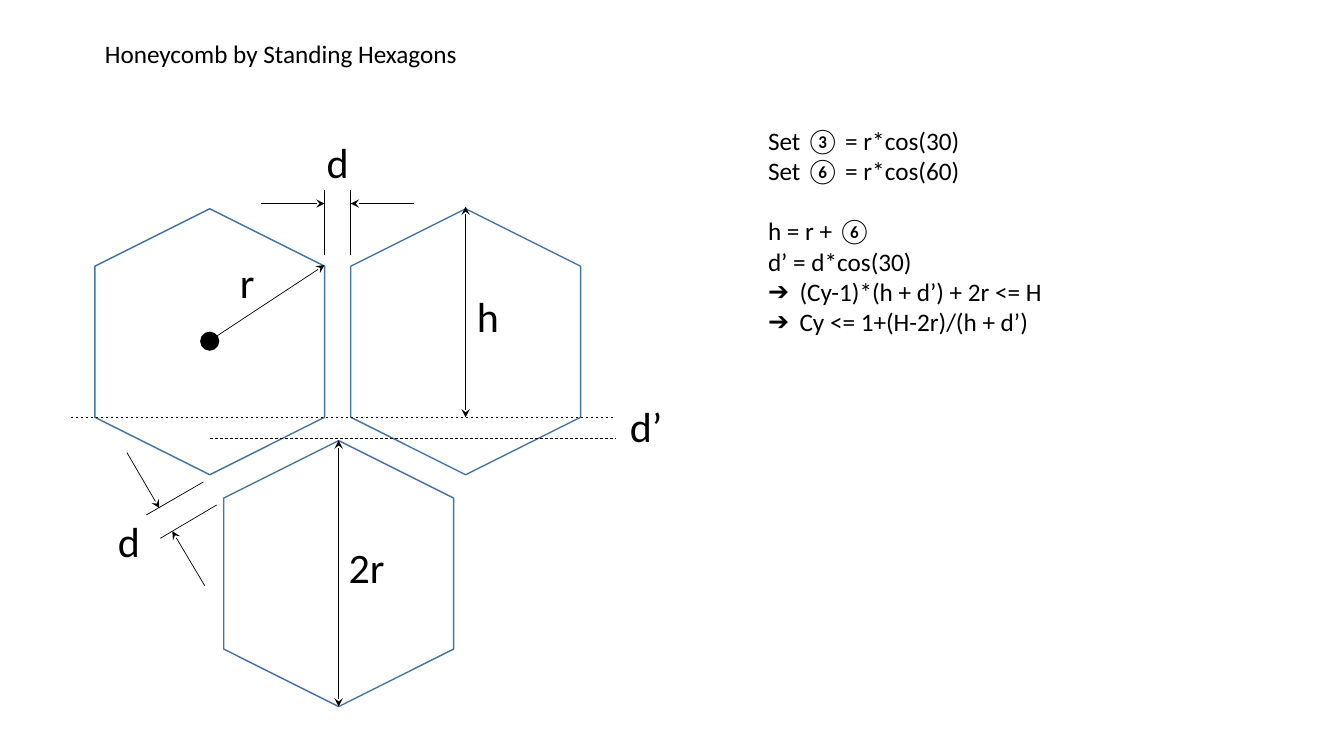
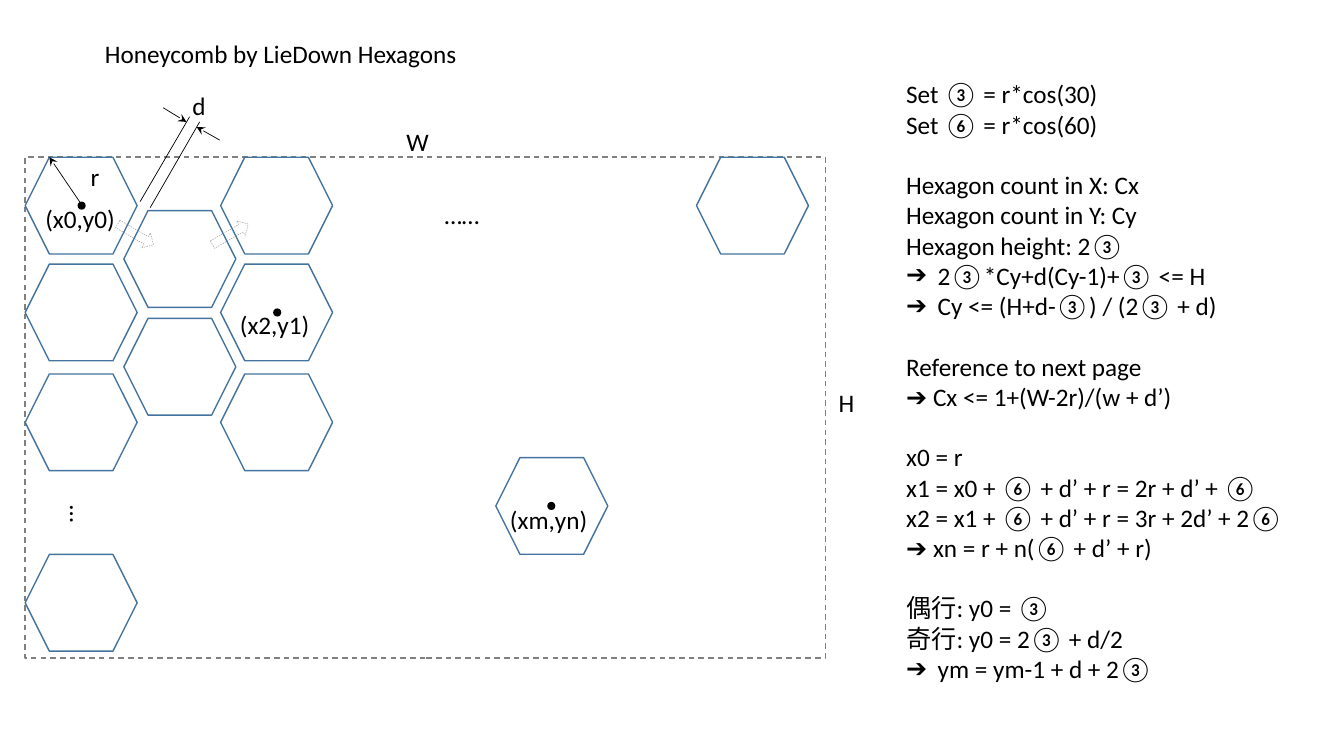
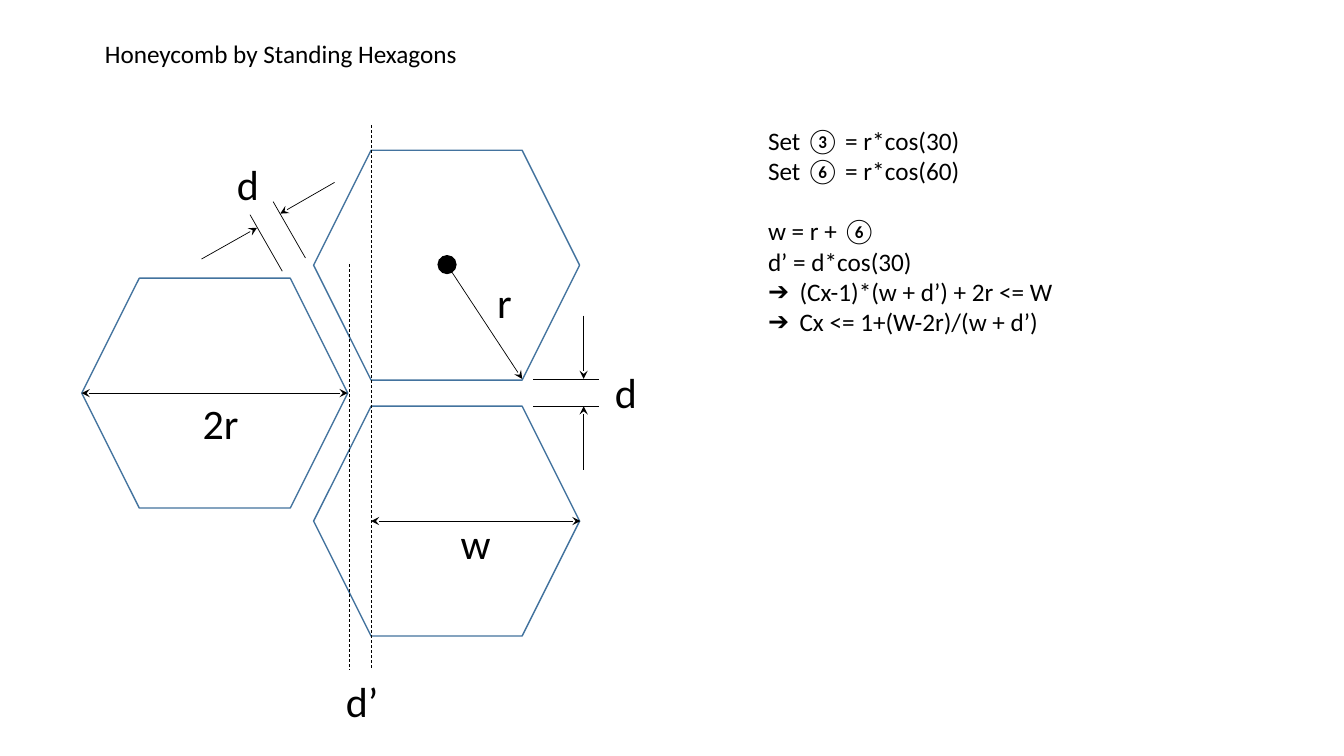
from lxml.etree import SubElement
from pptx import Presentation
from pptx.dml.color import RGBColor
from pptx.enum.dml import MSO_LINE
from pptx.enum.shapes import MSO_CONNECTOR, MSO_SHAPE
from pptx.enum.text import MSO_ANCHOR, MSO_AUTO_SIZE, PP_ALIGN
from pptx.oxml.ns import qn
from pptx.util import Pt

BLACK = RGBColor(0x00, 0x00, 0x00)
BLUE = RGBColor(0x43, 0x73, 0x9E)
GRAY = RGBColor(0x80, 0x80, 0x80)
FONT = "Calibri"
NOTE_SIZE = 18
NOTE_LINE = 21.6
NOTE_INDENT = 22.5
BULLET = "➔"
BULLET_MARK = "- "
BIG_HEXAGON = (190, 164.2)
SMALL_HEXAGON = (80, 69.1)

standing = {
    "title": "Honeycomb by Standing Hexagons",
    "hexagon": BIG_HEXAGON, "turn": 90, "dot": 13.7, "label_size": 30,
    "centers": [(149.8, 244.1), (332.6, 244.1), (241.9, 409.7)],
    "dots": [(149.8, 243.7)],
    "plain": [(231.8, 182.2, 231.8, 135.4), (250.6, 182.2, 250.6, 135.4),
              (154.8, 360.7, 114.5, 384.5), (145.4, 344.2, 104.4, 367.9)],
    "dashed": [(50.4, 298.1, 439.2, 298.1), (149.8, 313.2, 439.2, 313.2)],
    "arrow": [(149.8, 243.4, 231.8, 189.4),
              (186.5, 145.4, 231.8, 145.4), (295.9, 145.4, 250.6, 145.4),
              (146.2, 418.3, 123.1, 379.4), (90.7, 323.3, 113.8, 362.9)],
    "double": [(241.9, 314.6, 241.9, 504.7), (332.6, 147.6, 332.6, 298.1)],
    "labels": [("r", 171.4, 183.6, 10.8, 0), ("d", 233.3, 97.2, 15.8, 0),
               ("d", 84.2, 367.9, 15.8, 0), ("d’", 450, 285.8, 23.8, 0),
               ("2r", 249.1, 386.6, 25.9, 0), ("h", 340.6, 207.4, 15.8, 0)],
    "notes_box": (541.4, 85.7, 213, 160),
    "notes": [
        ["Set ③ = r*cos(30)", "Set ⑥ = r*cos(60)"],
        ["h = r + ⑥", "d’ = d*cos(30)",
         "- (Cy-1)*(h + d’) + 2r <= H", "- Cy <= 1+(H-2r)/(h + d’)"],
    ],
}

columns = {
    58: [146.9, 223.2, 301.7, 430.6],
    128.5: [185, 262],
    197.6: [146.9, 223.2, 301.7],
    394.2: [361.4],
    537.5: [146.9],
}

lying = {
    "title": "Honeycomb by LieDown Hexagons",
    "hexagon": SMALL_HEXAGON, "turn": 0, "dot": 5.8, "label_size": 18,
    "centers": [(x, y) for x, rows in columns.items() for y in rows],
    "dots": [(58.3, 146.9), (198, 223.2), (393.8, 361.4)],
    "plain": [(100.1, 144, 135.4, 83.5), (107.3, 148.3, 142.6, 87.1)],
    "dashed": [],
    "arrow": [(58.3, 146.2, 35.3, 112.3),
              (116.6, 77, 133.2, 87.1), (157, 100.1, 140.4, 90.7)],
    "double": [],
    "labels": [("W", 290.2, 90, 15.8, 0), ("H", 599, 276.5, 11.5, 0),
               ("(x0,y0)", 32.4, 145.4, 50.4, 0), ("(x2,y1)", 171.4, 221, 50.4, 0),
               ("(xm,yn)", 364.3, 360, 55.4, 0), ("r", 64.8, 115.2, 6.5, 0),
               ("d", 137.5, 64.8, 9.4, 0), ("……", 317.5, 142.6, 25.2, 0),
               ("…", 51.1, 356.4, 12.2, 90)],
    "notes_box": (640.1, 52.6, 283.7, 443.5),
    "notes": [
        ["Set ③ = r*cos(30)", "Set ⑥ = r*cos(60)"],
        ["Hexagon count in X: Cx", "Hexagon count in Y: Cy", "Hexagon height: 2③",
         "- 2③*Cy+d(Cy-1)+③ <= H", "- Cy <= (H+d-③) / (2③ + d)"],
        ["Reference to next page", "➔ Cx <= 1+(W-2r)/(w + d’)"],
        ["x0 = r", "x1 = x0 + ⑥ + d’ + r = 2r + d’ + ⑥",
         "x2 = x1 + ⑥ + d’ + r = 3r + 2d’ + 2⑥", "➔ xn = r + n(⑥ + d’ + r)"],
        ["偶行: y0 = ③", "奇行: y0 = 2③ + d/2", "- ym = ym-1 + d + 2③"],
    ],
}

widths = {
    "title": "Honeycomb by Standing Hexagons",
    "hexagon": BIG_HEXAGON, "turn": 180, "dot": 13.7, "label_size": 30,
    "centers": [(319, 189.4), (319, 372.2), (153.4, 280.8)],
    "dots": [(319.3, 189)],
    "plain": [(380.9, 270.7, 427.7, 270.7), (380.9, 290.2, 427.7, 290.2),
              (201.6, 193.7, 178.6, 153.4), (218.2, 184.3, 195.1, 144)],
    "dashed": [(265, 89.3, 265, 478.1), (249.8, 188.6, 249.8, 478.1)],
    "arrow": [(319, 188.6, 373, 270.7),
              (416.9, 225.4, 416.9, 270.7), (416.9, 335.5, 416.9, 290.2),
              (144, 185, 183.6, 162.7), (239, 130.3, 200.2, 152.6)],
    "double": [(248.4, 280.8, 58.3, 280.8), (414.7, 372.2, 265, 372.2)],
    "labels": [("r", 355, 197.3, 10.8, 0), ("d", 439.2, 262.1, 15.8, 0),
               ("d", 169.2, 113, 15.8, 0), ("d’", 247, 482.4, 23.8, 0),
               ("2r", 144.7, 283.7, 25.9, 0), ("w", 329, 369.4, 21.6, 0)],
    "notes_box": (541.4, 85.7, 221, 160),
    "notes": [
        ["Set ③ = r*cos(30)", "Set ⑥ = r*cos(60)"],
        ["w = r + ⑥", "d’ = d*cos(30)",
         "- (Cx-1)*(w + d’) + 2r <= W", "- Cx <= 1+(W-2r)/(w + d’)"],
    ],
}

ARROW_ENDS = {"plain": [], "dashed": [], "arrow": ["a:tailEnd"],
              "double": ["a:headEnd", "a:tailEnd"]}


def add_outline(slide, preset, box, color, weight, turn=0):
    outline = slide.shapes.add_shape(preset, *map(Pt, box))
    outline.shadow.inherit = False
    outline.fill.background()
    outline.line.color.rgb = color
    outline.line.width = Pt(weight)
    outline.rotation = turn
    return outline


def write(holder, box, text, size):
    holder.left, holder.top, holder.width, holder.height = map(Pt, box)
    frame = holder.text_frame
    frame.text = text
    frame.word_wrap = False
    frame.vertical_anchor = MSO_ANCHOR.TOP
    for paragraph in frame.paragraphs:
        paragraph.alignment = PP_ALIGN.LEFT
        paragraph.space_before = Pt(0)
        for run in paragraph.runs:
            run.font.name = FONT
            run.font.size = Pt(size)
            run.font.color.rgb = BLACK
    return frame


deck = Presentation()
deck.slide_width, deck.slide_height = Pt(960), Pt(540)

for page in (standing, lying, widths):
    slide = deck.slides.add_slide(deck.slide_layouts[1])
    heading = write(slide.shapes.title, (67.7, 23.8, 269.3, 28.8), page["title"], 18)
    heading.auto_size = MSO_AUTO_SIZE.NONE

    lines = [line for block in page["notes"] for line in block]
    notes = write(slide.placeholders[1], page["notes_box"],
                  "\n".join(line.removeprefix(BULLET_MARK) for line in lines), NOTE_SIZE)
    notes.auto_size = MSO_AUTO_SIZE.NONE
    for paragraph, line in zip(notes.paragraphs, lines):
        properties = paragraph._p.get_or_add_pPr()
        bulleted = line.startswith(BULLET_MARK)
        indent = Pt(NOTE_INDENT) if bulleted else 0
        properties.set("marL", str(indent))
        properties.set("indent", str(-indent))
        if bulleted:
            SubElement(properties, qn("a:buChar")).set("char", BULLET)
        else:
            SubElement(properties, qn("a:buNone"))
    block_start = 0
    for block in page["notes"][:-1]:
        block_start += len(block)
        notes.paragraphs[block_start].space_before = Pt(NOTE_LINE)

    if page is lying:
        area = add_outline(slide, MSO_SHAPE.RECTANGLE, (18, 112.3, 571.7, 357.8), GRAY, 1)
        area.line.dash_style = MSO_LINE.DASH

    width, height = page["hexagon"]
    for x, y in page["centers"]:
        add_outline(slide, MSO_SHAPE.HEXAGON,
                    (x - width / 2, y - height / 2, width, height), BLUE, 1, page["turn"])

    diameter = page["dot"]
    for x, y in page["dots"]:
        center = add_outline(slide, MSO_SHAPE.OVAL,
                             (x - diameter / 2, y - diameter / 2, diameter, diameter), BLACK, 1)
        center.fill.solid()
        center.fill.fore_color.rgb = BLACK
        center.line.fill.background()

    for style, ends in ARROW_ENDS.items():
        for points in page[style]:
            measure = slide.shapes.add_connector(MSO_CONNECTOR.STRAIGHT, *map(Pt, points))
            measure.line.color.rgb = BLACK
            measure.line.width = Pt(0.5)
            if style == "dashed":
                measure.line.dash_style = MSO_LINE.DASH
            for end in ends:
                SubElement(measure.line._get_or_add_ln(), qn(end)).set("type", "stealth")
            SubElement(measure._element.spPr, qn("a:effectLst"))

    label_size = page["label_size"]
    for text, x, y, label_width, turn in page["labels"]:
        label = slide.shapes.add_textbox(0, 0, 0, 0)
        frame = write(label, (x, y, label_width, label_size * 1.2), text, label_size)
        frame.margin_left = frame.margin_right = frame.margin_top = frame.margin_bottom = 0
        frame.auto_size = MSO_AUTO_SIZE.SHAPE_TO_FIT_TEXT
        label.rotation = turn

    if page is lying:
        for x, turn in ((82.1, 30), (149.8, 330)):
            step = add_outline(slide, MSO_SHAPE.RIGHT_ARROW, (x, 161.3, 29.5, 12.2),
                               GRAY, 0.25, turn)
            step.line.dash_style = MSO_LINE.DASH

deck.save("out.pptx")
